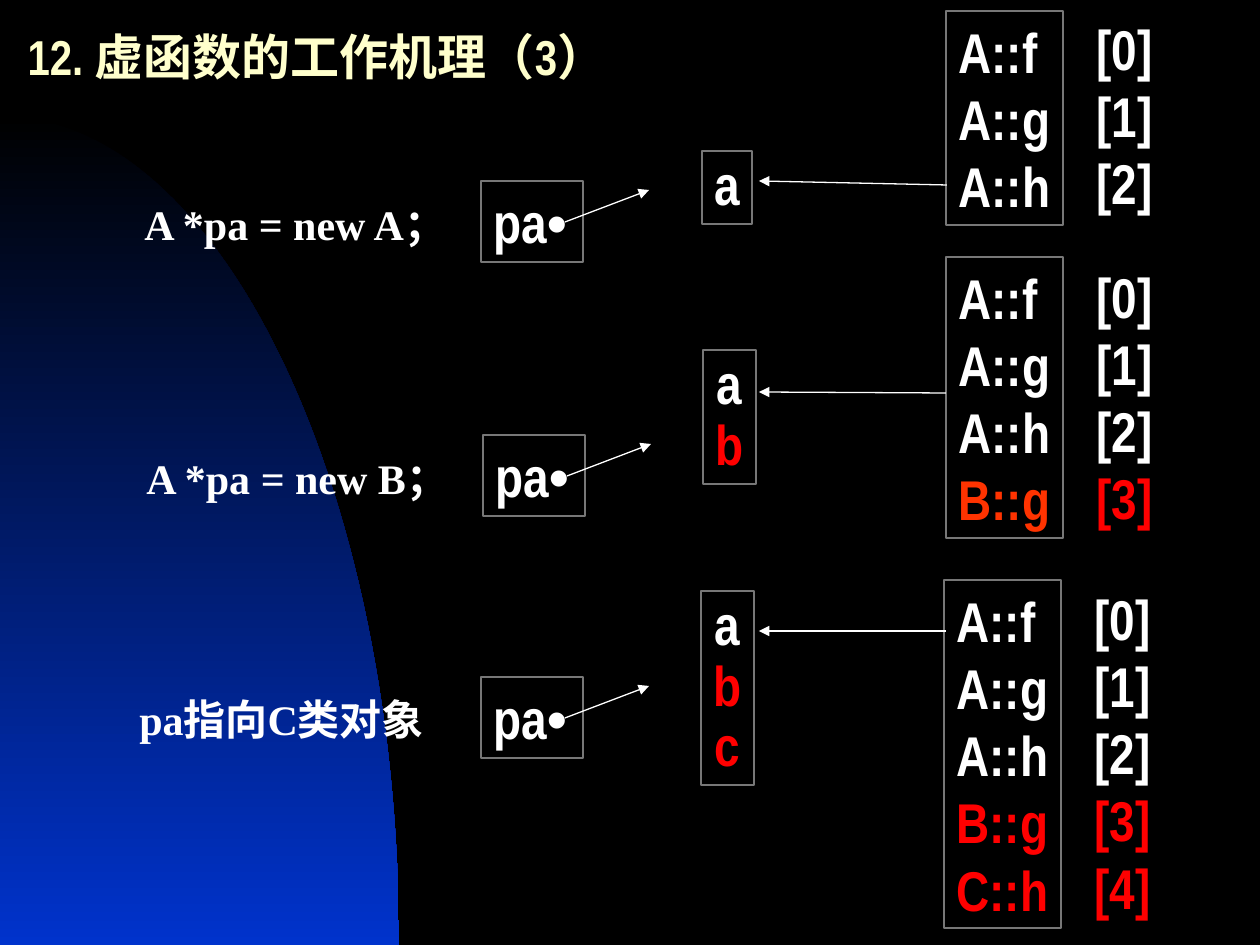
from lxml import etree
from pptx import Presentation
from pptx.dml.color import RGBColor
from pptx.enum.shapes import MSO_CONNECTOR, MSO_SHAPE
from pptx.enum.text import MSO_ANCHOR, MSO_AUTO_SIZE, PP_ALIGN
from pptx.oxml.ns import qn
from pptx.util import Pt

PX = 914400 / 126
SLIDE_SIZE = (1260, 945)
LEFT, CENTER = PP_ALIGN.LEFT, PP_ALIGN.CENTER
NARROW, SERIF, SANS = "Arial Narrow", "Times New Roman", "Arial"
COLORS = {
    "black": "000000", "blue": "0033CC", "cream": "FFFFCC", "white": "FFFFFF",
    "gray": "777777", "red": "FF0000", "orange": "FF3300",
}

TITLE = "12. 虚函数的工作机理（3）"
TITLE_BOX = (15, 6, 1160, 115)
CURVE_SIZE = (399, 829)
CURVE_TOP = 116
CURVE_STEPS = 60

BASE_TABLE = [("A::f", "white"), ("A::g", "white"), ("A::h", "white")]
SCENES = [
    {
        "label": "A *pa = new A；", "label_box": (132, 192, 382, 63),
        "pointer": (481, 181),
        "members": [("a", "white")], "members_box": (702, 151, 50, 73),
        "table": BASE_TABLE, "table_at": (946, 11), "index_at": (1084, 8),
        "link": (947, 185, 759, 181),
    },
    {
        "label": "A *pa = new B；", "label_box": (134, 446, 382, 63),
        "pointer": (483, 435),
        "members": [("a", "white"), ("b", "red")],
        "members_box": (703, 350, 53, 134),
        "table": BASE_TABLE + [("B::g", "orange")],
        "table_at": (946, 257), "index_at": (1084, 256),
        "link": (946, 393, 759, 392),
    },
    {
        "label": "pa指向C类对象", "label_box": (127, 687, 312, 113),
        "pointer": (481, 677),
        "members": [("a", "white"), ("b", "red"), ("c", "red")],
        "members_box": (701, 591, 53, 194),
        "table": BASE_TABLE + [("B::g", "red"), ("C::h", "red")],
        "table_at": (944, 580), "index_at": (1082, 578),
        "link": (946, 631, 759, 631),
    },
]
POINTER_SIZE = (102, 81)
TABLE_WIDTH, INDEX_WIDTH = 117, 81
ROW_HEIGHT, BOX_PADDING = 67, 13


def emu(*lengths):
    return [round(length * PX) for length in lengths]


def rgb(name):
    return RGBColor.from_string(COLORS[name])


def format_run(run, size, font_name, color):
    run.font.size = Pt(size)
    run.font.name = font_name
    run.font.bold = True
    run.font.color.rgb = rgb(color)


def add_text(slide, box, rows, size=32, font_name=NARROW, alignment=LEFT,
             spacing=1.0, framed=False, wrap=False):
    """Add one paragraph per (text, color) row, in a frame if asked."""
    if framed:
        shape = slide.shapes.add_shape(MSO_SHAPE.RECTANGLE, *emu(*box))
        shape.shadow.inherit = False
        shape.fill.background()
        shape.line.color.rgb = rgb("gray")
        shape.line.width = Pt(0.75)
    else:
        shape = slide.shapes.add_textbox(*emu(*box))
    frame = shape.text_frame
    frame.text = "\n".join(text for text, _ in rows)
    frame.word_wrap = wrap
    frame.auto_size = MSO_AUTO_SIZE.SHAPE_TO_FIT_TEXT
    frame.vertical_anchor = MSO_ANCHOR.TOP
    for paragraph, (_, color) in zip(frame.paragraphs, rows):
        paragraph.alignment = alignment
        paragraph.line_spacing = spacing
        format_run(paragraph.runs[0], size, font_name, color)
    return shape


def add_arrow(slide, start_x, start_y, end_x, end_y):
    arrow = slide.shapes.add_connector(
        MSO_CONNECTOR.STRAIGHT, *emu(start_x, start_y, end_x, end_y))
    arrow.line.color.rgb = rgb("white")
    arrow.line.width = Pt(0.75)
    etree.SubElement(arrow.line._get_or_add_ln(), qn("a:tailEnd"), type="triangle")
    etree.SubElement(arrow._element.spPr, qn("a:effectLst"))


def add_curve(slide):
    """Add the quarter-ellipse gradient behind everything else."""
    width, height = CURVE_SIZE
    bend = 0.55
    points = []
    for step in range(1, CURVE_STEPS + 1):
        t = step / CURVE_STEPS
        u = 1 - t
        x = width * (3 * u * u * t * bend + 3 * u * t * t + t ** 3)
        y = height * (3 * u * t * t * (1 - bend) + t ** 3)
        points.append(emu(x, CURVE_TOP + y))
    points.append(emu(0, CURVE_TOP + height))
    builder = slide.shapes.build_freeform(*emu(0, CURVE_TOP), scale=1.0)
    builder.add_line_segments(points, close=True)
    curve = builder.convert_to_shape()
    curve.shadow.inherit = False
    curve.line.fill.background()
    curve.fill.gradient()
    curve.fill.gradient_angle = 270
    for stop, color, position in zip(curve.fill.gradient_stops, ("black", "blue"), (0, 1)):
        stop.color.rgb = rgb(color)
        stop.position = position
    slide.shapes._spTree.insert(2, curve._element)


def add_title(slide):
    title = slide.shapes.title
    title.left, title.top, title.width, title.height = emu(*TITLE_BOX)
    frame = title.text_frame
    frame.text = TITLE
    frame.vertical_anchor = MSO_ANCHOR.MIDDLE
    paragraph = frame.paragraphs[0]
    paragraph.alignment = LEFT
    paragraph.line_spacing = 0.7
    format_run(paragraph.runs[0], 28, NARROW, "cream")


def add_pointer(slide, left, top):
    box = add_text(slide, (left, top, *POINTER_SIZE), [("pa", "white")], framed=True)
    dot = box.text_frame.paragraphs[0].add_run()
    dot.text = "•"
    format_run(dot, 32, SANS, "white")
    add_arrow(slide, left + 84, top + 41, left + 168, top + 9)


def add_scene(slide, scene):
    table = scene["table"]
    height = len(table) * ROW_HEIGHT + BOX_PADDING
    indexes = [(f"[{i}]", "white" if i < len(BASE_TABLE) else "red")
               for i in range(len(table))]
    add_text(slide, (*scene["table_at"], TABLE_WIDTH, height), table, framed=True)
    add_text(slide, (*scene["index_at"], INDEX_WIDTH, height), indexes)
    add_pointer(slide, *scene["pointer"])
    add_text(slide, scene["label_box"], [(scene["label"], "white")],
             size=24, font_name=SERIF, wrap=True)
    add_text(slide, scene["members_box"], scene["members"],
             alignment=CENTER, spacing=0.9, framed=True)
    add_arrow(slide, *scene["link"])


def main():
    presentation = Presentation()
    presentation.slide_width, presentation.slide_height = emu(*SLIDE_SIZE)
    slide = presentation.slides.add_slide(presentation.slide_layouts[5])
    slide.background.fill.solid()
    slide.background.fill.fore_color.rgb = rgb("black")
    add_curve(slide)
    add_title(slide)
    for scene in SCENES:
        add_scene(slide, scene)
    presentation.save("out.pptx")


if __name__ == "__main__":
    main()
